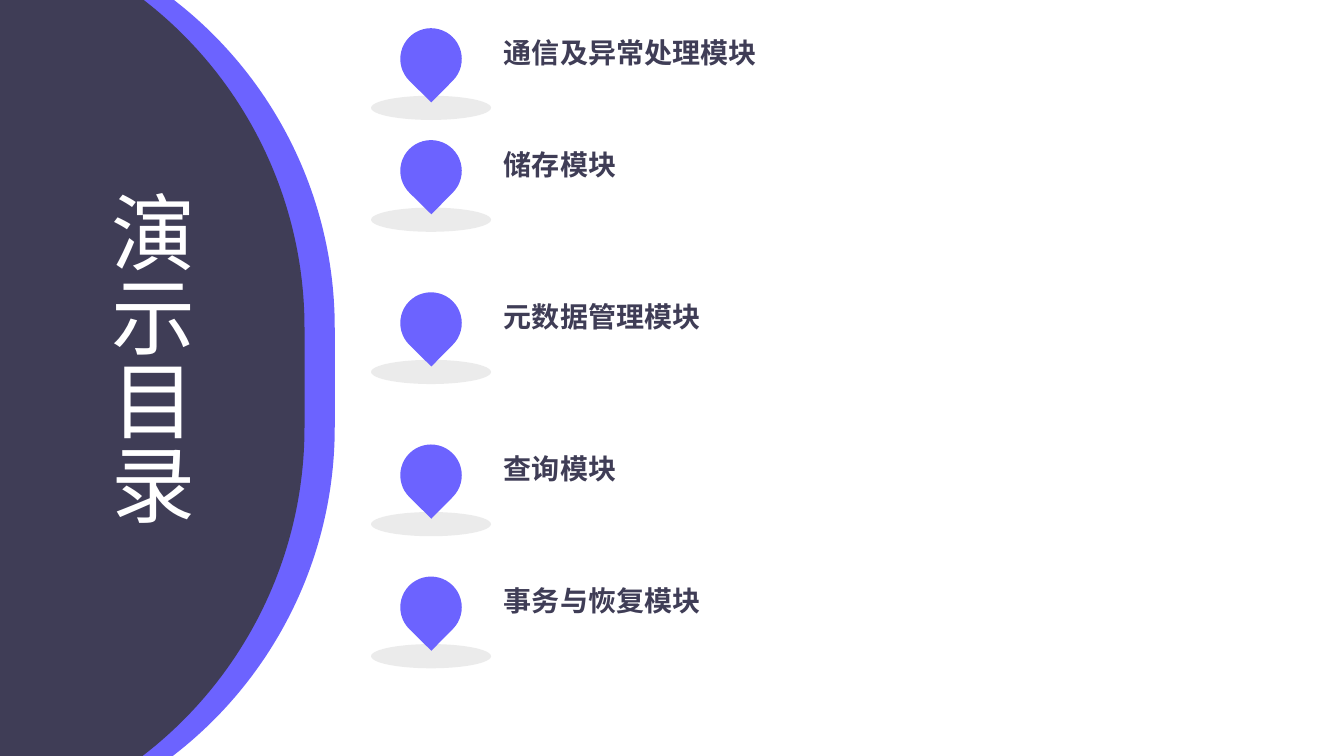
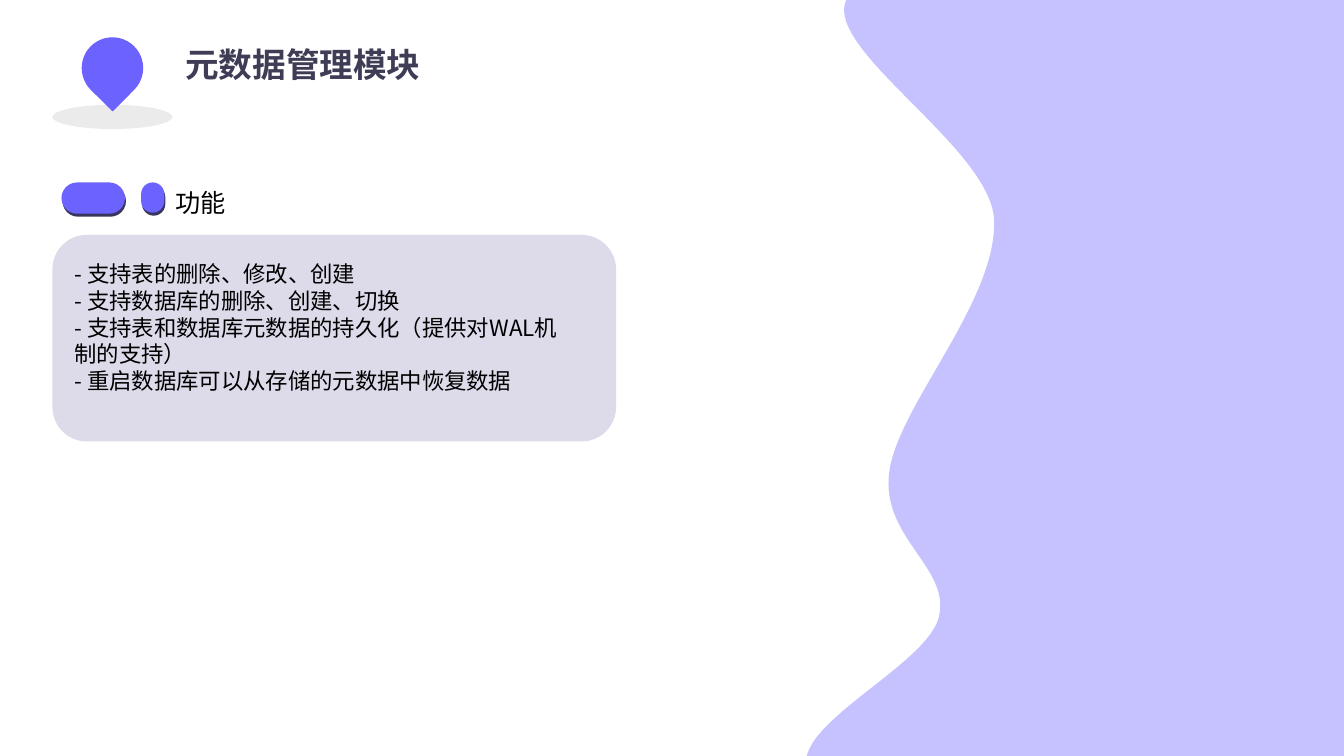
import pptx
import pptx.dml.color
import pptx.enum.shapes
import pptx.enum.text
import pptx.oxml
import pptx.oxml.ns
import pptx.util

Inches = pptx.util.Inches
SHAPES = pptx.enum.shapes.MSO_SHAPE
qn = pptx.oxml.ns.qn
DRAWING = pptx.oxml.ns.nsdecls("a")

FONT = "Noto Sans CJK SC"
VIOLET = "6C63FF"
NAVY = "3F3D56"
PILL_SHADE = "38355F"
PANEL = "D0CDE1"
GREY = "D9D9D9"
WHITE = "FFFFFF"
BLACK = "000000"

# Agenda entries: top of the pin and label
AGENDA = [
    (0.28, "通信及异常处理模块"),
    (1.39, "储存模块"),
    (2.90, "元数据管理模块"),
    (4.41, "查询模块"),
    (5.72, "事务与恢复模块"),
]

FEATURES = [
    "- 支持表的删除、修改、创建",
    "- 支持数据库的删除、创建、切换",
    "- 支持表和数据库元数据的持久化（提供对WAL机制的支持）",
    "- 重启数据库可以从存储的元数据中恢复数据",
]

# Wave outline: start point, then cubic curves (two controls and an end)
WAVE_BOX = (7.99, -0.97, 7.91, 10.32)
WAVE_START = (8.59, -0.17)
WAVE_CURVES = [
    ((7.70, 0.23), (9.82, 1.37), (9.86, 2.18)),
    ((9.89, 2.99), (8.91, 4.02), (8.82, 4.68)),
    ((8.73, 5.34), (9.44, 5.63), (9.31, 6.13)),
    ((9.17, 6.62), (7.83, 7.20), (8.01, 7.65)),
    ((8.18, 8.09), (9.18, 8.62), (10.37, 8.78)),
    ((11.57, 8.93), (14.37, 10.08), (15.17, 8.58)),
    ((15.97, 7.07), (16.28, 1.20), (15.19, -0.25)),
    ((14.10, -1.71), (9.48, -0.58), WAVE_START),
]


def color(hex_value):
    return pptx.dml.color.RGBColor.from_string(hex_value)


def paint(shape, fill, opacity=100):
    """Flat fill without line or shadow."""
    shape.shadow.inherit = False
    shape.line.fill.background()
    shape.fill.solid()
    shape.fill.fore_color.rgb = color(fill)
    if opacity < 100:
        tint = shape._element.spPr.find(qn("a:solidFill"))[0]
        tint.append(pptx.oxml.parse_xml(
            f'<a:alpha {DRAWING} val="{opacity * 1000}"/>'))


def add_block(slide, kind, box, fill, opacity=100, radius=None):
    shape = slide.shapes.add_shape(kind, *map(Inches, box))
    paint(shape, fill, opacity)
    if radius is not None:
        shape.adjustments[0] = radius
    return shape


def add_text(slide, box, lines, size, text_color, bold=False):
    text_box = slide.shapes.add_textbox(*map(Inches, box))
    frame = text_box.text_frame
    frame.word_wrap = True
    frame.auto_size = pptx.enum.text.MSO_AUTO_SIZE.SHAPE_TO_FIT_TEXT
    frame.text = "\n".join(lines)
    for paragraph in frame.paragraphs:
        font = paragraph.font
        font.name = FONT
        font.size = pptx.util.Pt(size)
        font.bold = bold
        font.color.rgb = color(text_color)
        # East Asian glyphs take their own typeface entry
        latin = paragraph._p.pPr.find(qn("a:defRPr")).find(qn("a:latin"))
        latin.addnext(pptx.oxml.parse_xml(
            f'<a:ea {DRAWING} typeface="{FONT}"/>'))
    return frame


def add_pin_heading(slide, left, top, label, size, width, height):
    """Map pin on its ground ellipse, with a heading to the right."""
    add_block(slide, SHAPES.OVAL, (left, top + 0.67, 1.19, 0.24), GREY, 50)
    pin = add_block(slide, SHAPES.TEAR, (left + 0.29, top, 0.61, 0.61), VIOLET)
    pin.rotation = 134.6
    add_text(slide, (left + 1.22, top + 0.02, width, height), [label],
             size, NAVY, bold=True)


def add_title_dome(slide, left, top, title):
    """Two offset domes with the vertical title."""
    for offset, fill in ((0.3, VIOLET), (0, NAVY)):
        add_block(slide, SHAPES.ROUNDED_RECTANGLE,
                  (left + offset, top, 8.22, 9.21), fill, radius=0.5)
    frame = add_text(slide, (left + 6.03, top + 2.65, 1.21, 3.58), [title],
                     60, WHITE)
    frame._txBody.bodyPr.set("vert", "eaVert")
    frame.paragraphs[0].alignment = pptx.enum.text.PP_ALIGN.JUSTIFY


def add_wave(slide, box):
    """Freeform over the box, its outline made of cubic curves."""
    left, top, width, height = map(Inches, box)
    right, bottom = left + width, top + height
    builder = slide.shapes.build_freeform(left, top)
    builder.add_line_segments([(right, top), (right, bottom), (left, bottom)])
    wave = builder.convert_to_shape()

    def command(tag, points):
        places = "".join(
            f'<a:pt x="{Inches(x) - left}" y="{Inches(y) - top}"/>'
            for x, y in points)
        return pptx.oxml.parse_xml(f"<a:{tag} {DRAWING}>{places}</a:{tag}>")

    outline = next(wave._element.iter(qn("a:path")))
    outline[:] = [
        command("moveTo", [WAVE_START]),
        *(command("cubicBezTo", curve) for curve in WAVE_CURVES),
        command("close", []),
    ]
    paint(wave, VIOLET, 39)


def add_feature_panel(slide, left, top, heading, lines):
    """Pill ornaments, heading and the panel with its list."""
    for offset, rise, fill in ((0.1, 0.03, PILL_SHADE), (0.09, 0, VIOLET)):
        for shift, width, height in ((0, 0.63, 0.31), (0.79, 0.23, 0.3)):
            add_block(slide, SHAPES.ROUNDED_RECTANGLE,
                      (left + offset + shift, top + rise, width, height),
                      fill, radius=0.5)
    add_block(slide, SHAPES.ROUNDED_RECTANGLE,
              (left, top + 0.52, 5.59, 2.05), PANEL, 72)
    add_text(slide, (left + 1.12, top, 2.43, 0.4), [heading], 18, BLACK)
    add_text(slide, (left + 0.12, top + 0.72, 5.08, 1.45), lines, 16, BLACK)


def build_agenda(slide):
    add_title_dome(slide, -5.2, -0.86, "演示目录")
    for top, label in AGENDA:
        add_pin_heading(slide, 3.68, top, label, 20, 3.17, 0.44)


def build_module(slide):
    add_wave(slide, WAVE_BOX)
    add_pin_heading(slide, 0.52, 0.37, "元数据管理模块", 24, 3.43, 0.5)
    add_feature_panel(slide, 0.52, 1.81, "功能", FEATURES)


def main():
    presentation = pptx.Presentation()
    presentation.slide_width = Inches(13.33)
    presentation.slide_height = Inches(7.5)
    blank = presentation.slide_layouts[6]
    for build in (build_agenda, build_module):
        build(presentation.slides.add_slide(blank))
    presentation.save("out.pptx")


if __name__ == "__main__":
    main()
